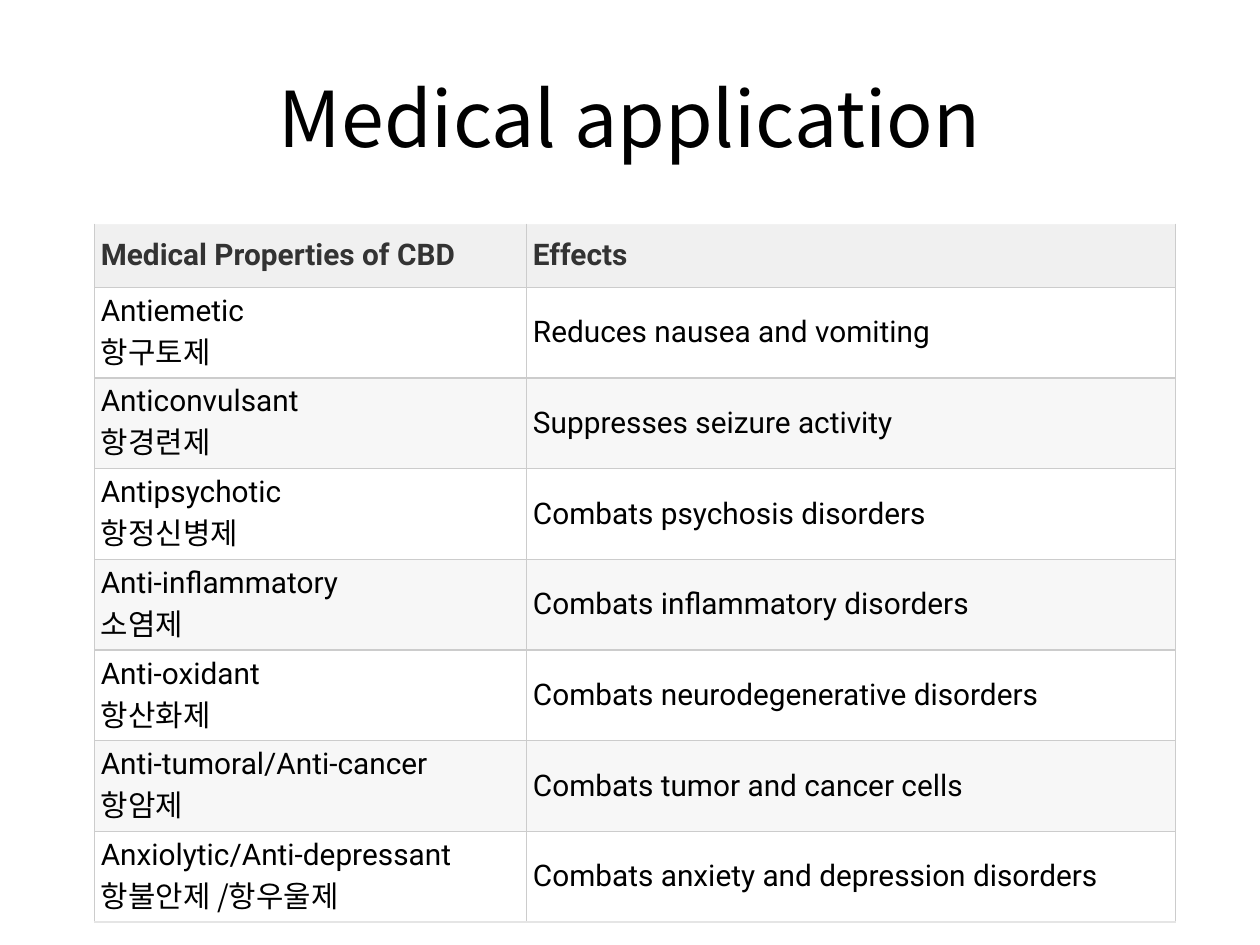
"""Builds a slide with a table of the medical properties of CBD and their effects."""
from lxml import etree
from pptx import Presentation
from pptx import util as u
from pptx.dml.color import RGBColor
from pptx.enum import text
from pptx.oxml.ns import qn

KOREAN, LATIN = "Noto Sans CJK KR", "Roboto"


def color(value):
    return RGBColor.from_string(value)


def write(paragraph, words, size=17, font=LATIN, ink="000000", bold=False, align=None):
    paragraph.alignment = align
    run = paragraph.add_run()
    run.text = words
    run.font.size = u.Pt(size)
    run.font.name = font
    run.font.bold = bold
    run.font.color.rgb = color(ink)
    etree.SubElement(run.font._element, qn("a:ea"), typeface=font)


deck = Presentation()
deck.slide_width, deck.slide_height = u.Inches(10), u.Inches(7.5)
slide = deck.slides.add_slide(deck.slide_layouts[6])

heading = slide.shapes.add_textbox(
    u.Inches(0.5), u.Inches(0.3), u.Inches(9), u.Inches(1.25)
).text_frame
heading.word_wrap = True
heading.vertical_anchor = text.MSO_ANCHOR.MIDDLE
write(heading.paragraphs[0], "Medical application", size=44, font=KOREAN,
      align=text.PP_ALIGN.CENTER)

properties = [
    ("Medical Properties of CBD", None, "Effects"),
    ("Antiemetic", "항구토제", "Reduces nausea and vomiting"),
    ("Anticonvulsant", "항경련제", "Suppresses seizure activity"),
    ("Antipsychotic", "항정신병제", "Combats psychosis disorders"),
    ("Anti-inflammatory", "소염제", "Combats inflammatory disorders"),
    ("Anti-oxidant", "항산화제", "Combats neurodegenerative disorders"),
    ("Anti-tumoral/Anti-cancer", "항암제", "Combats tumor and cancer cells"),
    ("Anxiolytic/Anti-depressant", "항불안제 /항우울제",
     "Combats anxiety and depression disorders"),
]
last = len(properties) - 1
header_height, row_height = 0.5, 0.72
table = slide.shapes.add_table(
    len(properties), 2, u.Inches(0.75), u.Inches(1.78), u.Inches(8.58),
    u.Inches(header_height + last * row_height)
).table
table.horz_banding = False
for column, width in zip(table.columns, (3.43, 5.15)):
    column.width = u.Inches(width)

for row, (name, korean, effect) in enumerate(properties):
    is_header = row == 0
    table.rows[row].height = u.Inches(header_height if is_header else row_height)
    band = "F0F0F0" if is_header else "FFFFFF" if row % 2 else "F7F7F7"
    edges = {
        "lnL": "CCCCCC",
        "lnR": "CCCCCC",
        "lnT": "F2F2F2" if is_header else "CCCCCC",
        "lnB": "E5E5E5" if row == last else "CCCCCC",
    }
    for col, words in enumerate((name, effect)):
        cell = table.cell(row, col)
        cell.vertical_anchor = text.MSO_ANCHOR.MIDDLE
        cell.margin_left = cell.margin_right = u.Inches(0.05)
        cell.margin_top = cell.margin_bottom = u.Inches(0.1 if is_header else 0.05)
        write(cell.text_frame.paragraphs[0], words, bold=is_header,
              ink="333333" if is_header else "000000")
        if korean and col == 0:
            write(cell.text_frame.add_paragraph(), korean, font=KOREAN)
        cell_format = cell._tc.get_or_add_tcPr()
        for edge, shade in edges.items():
            line = etree.SubElement(cell_format, qn(f"a:{edge}"), w=str(u.Pt(0.75)))
            paint = etree.SubElement(line, qn("a:solidFill"))
            etree.SubElement(paint, qn("a:srgbClr"), val=shade)
        cell.fill.solid()
        cell.fill.fore_color.rgb = color(band)

deck.save("out.pptx")
